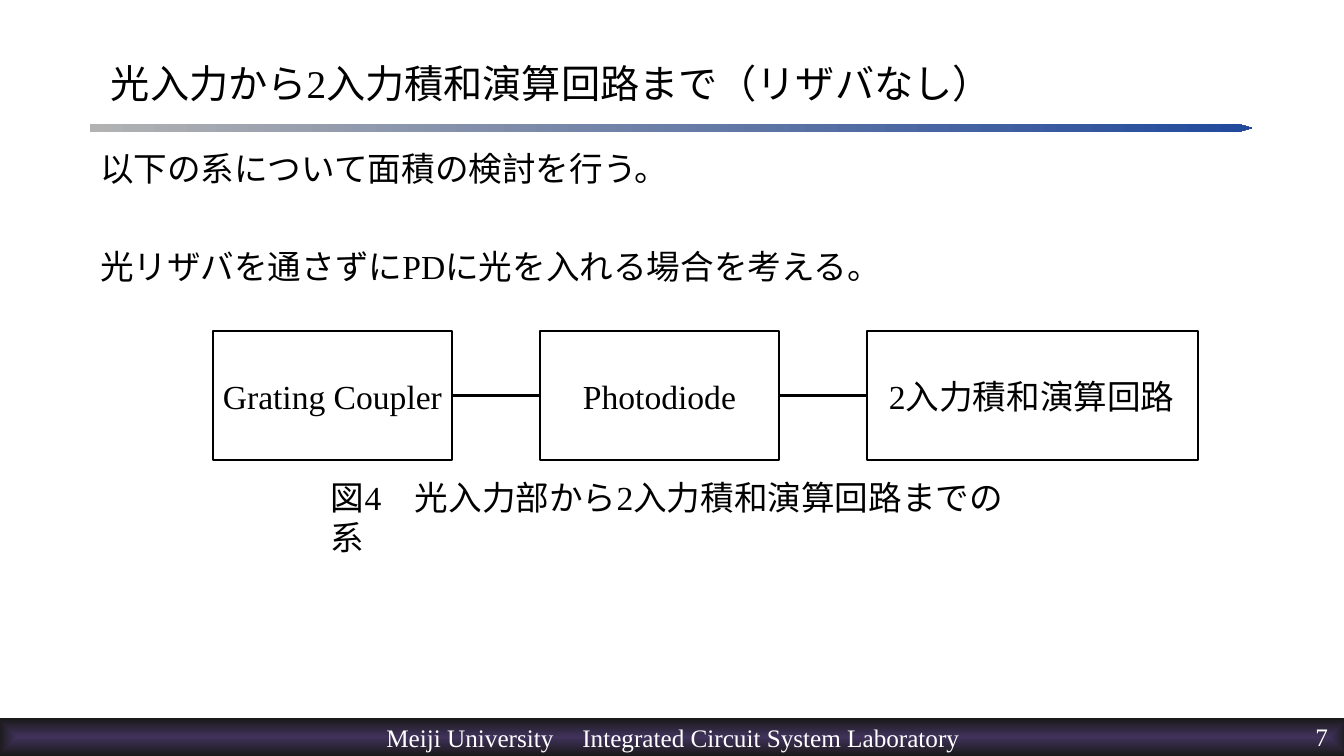
from lxml import etree
from pptx import Presentation
from pptx import util as u
from pptx.dml.color import RGBColor
from pptx.enum import shapes, text
from pptx.oxml.ns import qn

# Content
TITLE = "光入力から2入力積和演算回路まで（リザバなし）"
BODY = ["以下の系について面積の検討を行う。",
        "光リザバを通さずにPDに光を入れる場合を考える。"]
CENTER, LEFT, RIGHT = text.PP_ALIGN.CENTER, text.PP_ALIGN.LEFT, text.PP_ALIGN.RIGHT
STAGES = [  # label, width, side inset, alignment
    ("Grating Coupler", 239, 5, CENTER),
    ("Photodiode", 239, 5, CENTER),
    ("2入力積和演算回路", 331, 22, LEFT),
]
CAPTION = "図4\u3000光入力部から2入力積和演算回路までの系".replace("\u3000", "　")
FOOTER = "Meiji University\tIntegrated Circuit System Laboratory"
PAGE = "7"

FONT, BLACK, WHITE = "Times New Roman", "000000", "FFFFFF"
STAGE_X, STAGE_Y, STAGE_H, STAGE_GAP = 213, 331, 129, 88
TAB_STEP, TAB_COUNT = 49, 8


def px(n):
    return u.Emu(round(n * 914400 / 100.8))


def rgb(value):
    return RGBColor.from_string(value)


def place(sp, x, y, w, h):
    sp.left, sp.top, sp.width, sp.height = px(x), px(y), px(w), px(h)


def setup(tf, side=10, top=5, anchor=text.MSO_ANCHOR.TOP):
    tf.word_wrap, tf.auto_size = True, text.MSO_AUTO_SIZE.NONE
    tf.vertical_anchor = anchor
    tf.margin_left = tf.margin_right = px(side)
    tf.margin_top = tf.margin_bottom = px(top)


def write(p, words, size, color=BLACK, align=LEFT):
    p.text, p.alignment = words, align
    for r in p.runs:
        r.font.name, r.font.size = FONT, u.Pt(size)
        r.font.color.rgb = rgb(color)


def add_box(s, kind, x, y, w, h):
    sp = s.shapes.add_shape(kind, px(x), px(y), px(w), px(h))
    sp.shadow.inherit = False
    return sp


def add_text(s, x, y, w, h):
    return s.shapes.add_textbox(px(x), px(y), px(w), px(h)).text_frame


def paint_gradient(sp, *colors):
    sp.line.fill.background()
    sp.fill.gradient()
    sp.fill.gradient_angle = 0
    for stop, color in zip(sp.fill.gradient_stops, colors):
        stop.color.rgb = rgb(color)


prs = Presentation()
prs.slide_width, prs.slide_height = px(1344), px(756)
s = prs.slides.add_slide(prs.slide_layouts[1])

# Title and body
title, body = s.shapes.title, s.placeholders[1]
place(title, 101, 29, 1139, 107)
setup(title.text_frame, anchor=text.MSO_ANCHOR.MIDDLE)
write(title.text_frame.paragraphs[0], TITLE, 28)

place(body, 90, 143, 1150, 527)
tf = body.text_frame
setup(tf)
for i, line in enumerate(BODY):
    p = tf.add_paragraph() if i else tf.paragraphs[0]
    pPr = p._p.get_or_add_pPr()
    pPr.set("marL", "0")
    pPr.set("indent", "0")
    etree.SubElement(pPr, qn("a:buNone"))
    write(p, line, 24)
    p.space_before = u.Pt(41 if i else 0)

# Rule under the title
rule = add_box(s, shapes.MSO_SHAPE.PENTAGON, 90, 124, 1162, 8)
rule.adjustments[0] = 1.687
paint_gradient(rule, "B2B2B2", "21499C")

# Footer bar, shaded from its centre outwards
bar = add_box(s, shapes.MSO_SHAPE.RECTANGLE, -2, 718, 1350, 38)
paint_gradient(bar, "40325A", "191919")
lin = bar._element.spPr.find(".//" + qn("a:lin"))
shade = etree.Element(qn("a:path"), {"path": "shape"})
etree.SubElement(shade, qn("a:fillToRect"), {side: "50000" for side in "ltrb"})
lin.getparent().replace(lin, shade)
tf = bar.text_frame
setup(tf, anchor=text.MSO_ANCHOR.MIDDLE)
tf.word_wrap = False
p = tf.paragraphs[0]
tabs = etree.SubElement(p._p.get_or_add_pPr(), qn("a:tabLst"))
for i in range(TAB_COUNT):
    etree.SubElement(tabs, qn("a:tab"), pos=str(px(i * TAB_STEP)), algn="l")
write(p, FOOTER, 18, WHITE, CENTER)

# Page number
tf = add_text(s, 983, 721, 345, 35)
setup(tf, 0, 0)
write(tf.paragraphs[0], PAGE, 18, WHITE, RIGHT)

# Chain of stages, each joined to the one before
x, previous = STAGE_X, None
for label, width, inset, align in STAGES:
    sp = add_box(s, shapes.MSO_SHAPE.RECTANGLE, x, STAGE_Y, width, STAGE_H)
    sp.fill.solid()
    sp.fill.fore_color.rgb = rgb(WHITE)
    sp.line.color.rgb, sp.line.width = rgb(BLACK), u.Pt(1.5)
    setup(sp.text_frame, inset, 45)
    sp.text_frame.margin_bottom = 0
    write(sp.text_frame.paragraphs[0], label, 24, align=align)
    if previous is not None:
        link = s.shapes.add_connector(shapes.MSO_CONNECTOR.STRAIGHT, 0, 0, 0, 0)
        link.begin_connect(previous, 3)
        link.end_connect(sp, 1)
        link.line.color.rgb, link.line.width = rgb(BLACK), u.Pt(1.5)
        etree.SubElement(link._element.spPr, qn("a:effectLst"))
    x, previous = x + width + STAGE_GAP, sp

# Caption
tf = add_text(s, 321, 472, 703, 54)
setup(tf)
write(tf.paragraphs[0], CAPTION, 24)

prs.save("out.pptx")
